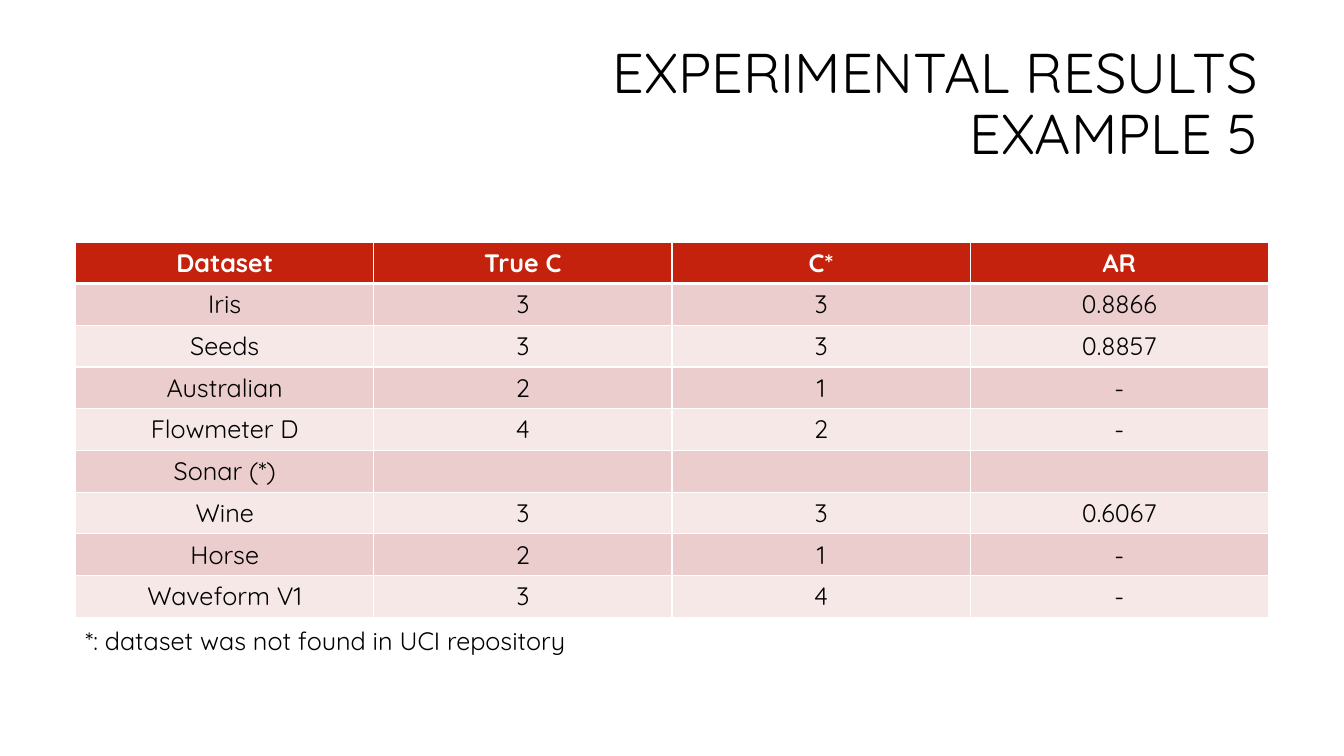
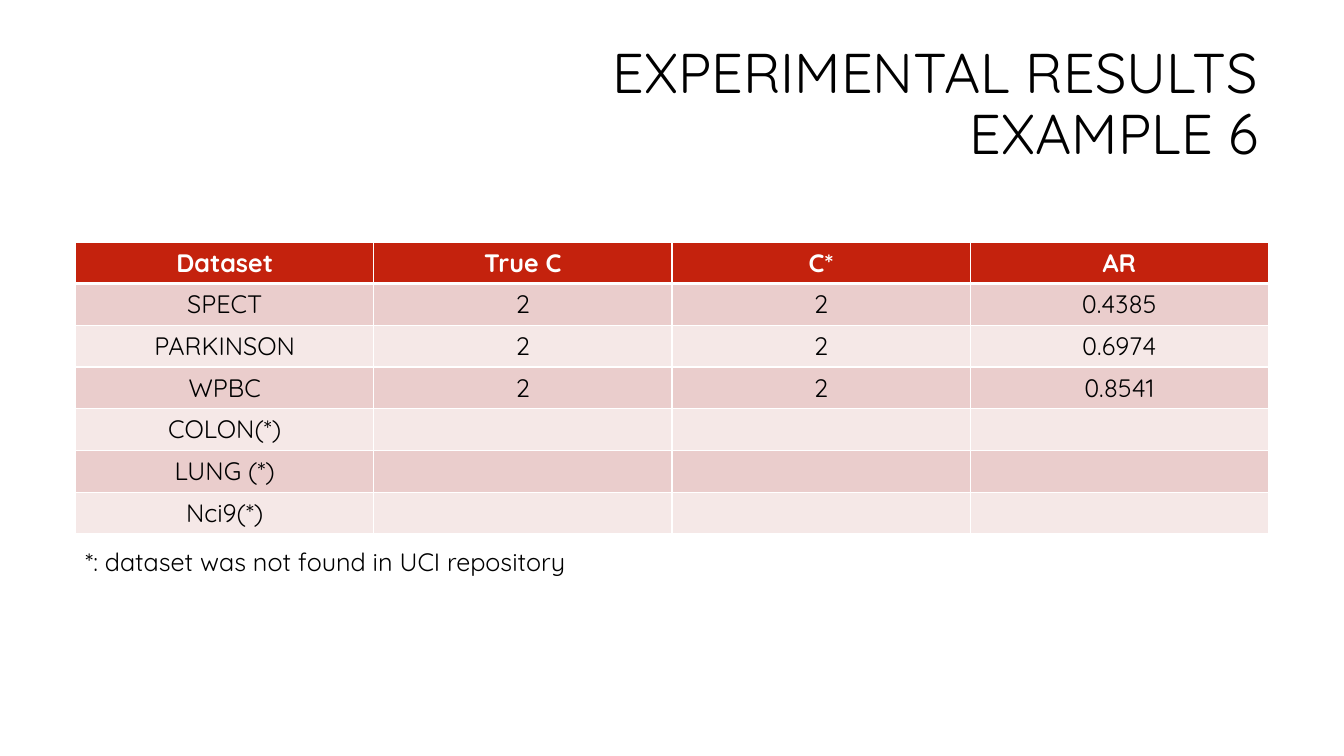
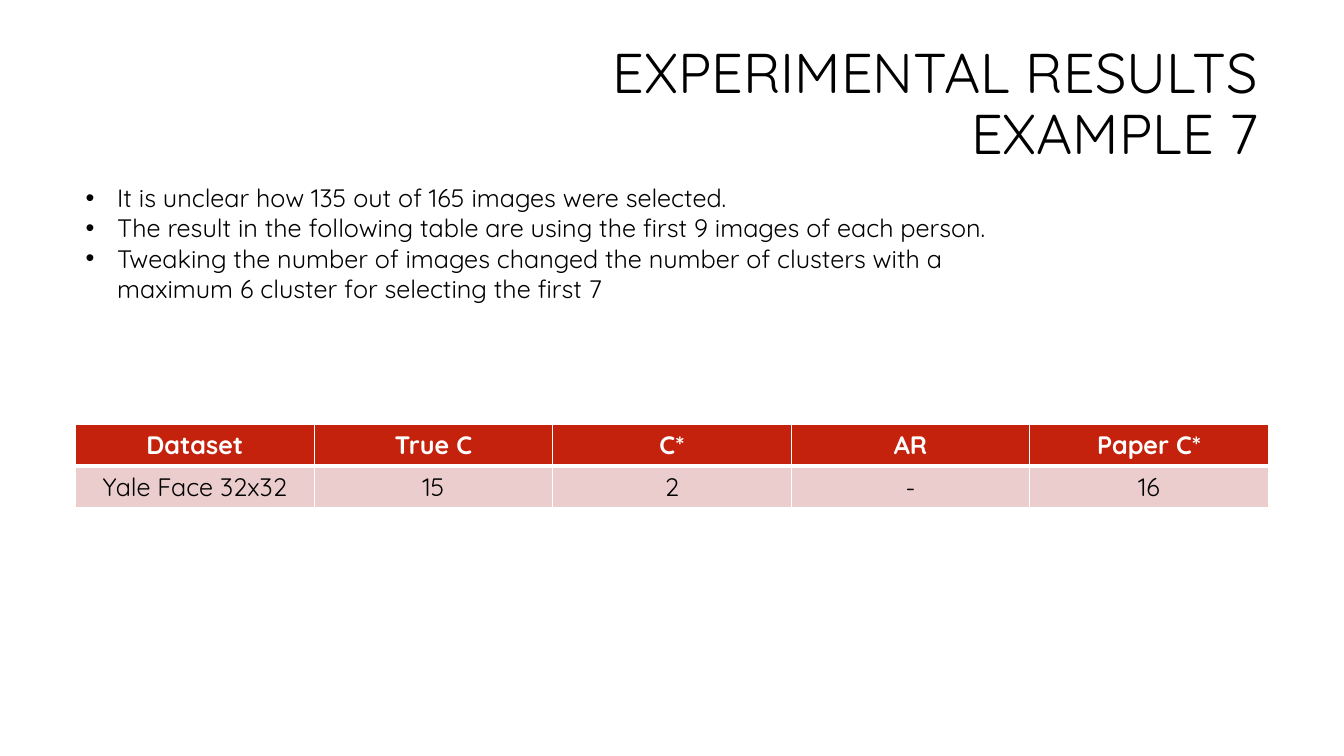
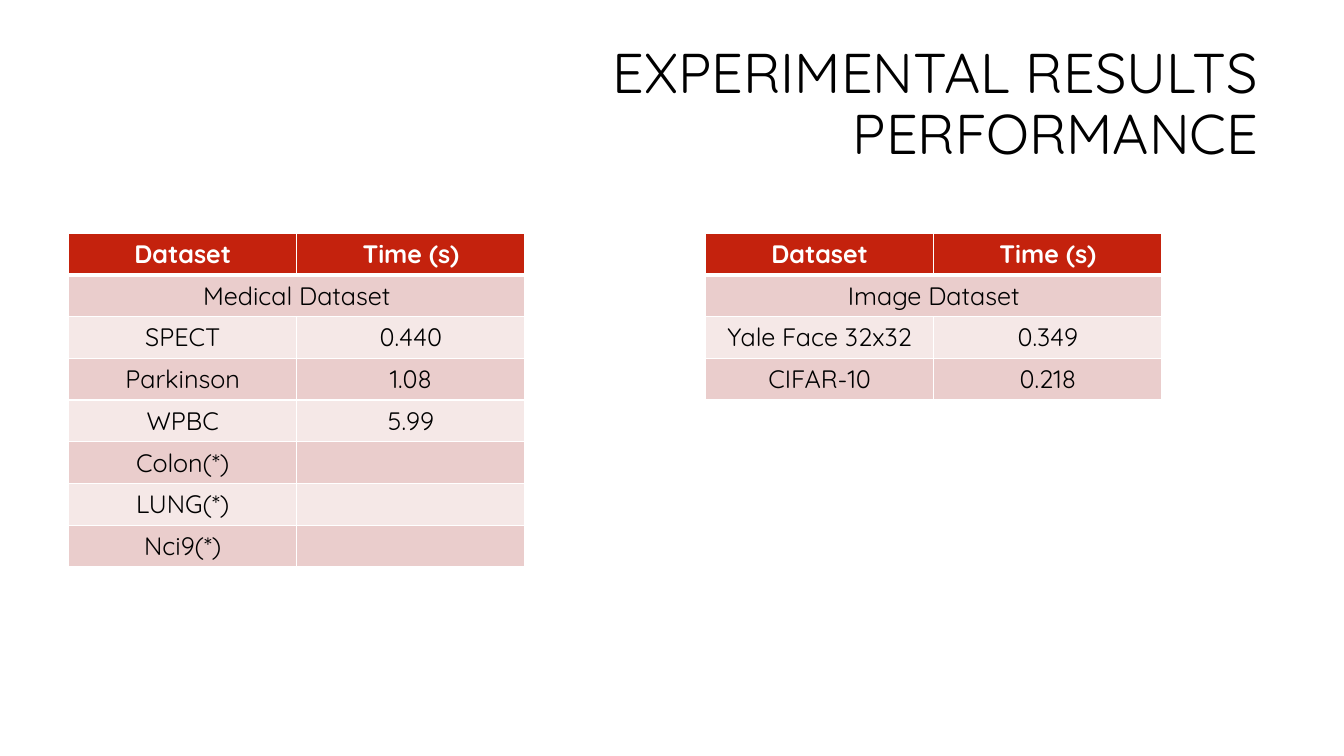
"""Builds four slides of clustering results with tables and notes."""
from copy import deepcopy
from dataclasses import dataclass

from pptx import Presentation
from pptx.dml.color import RGBColor as RGB
from pptx.enum.text import MSO_ANCHOR as Anchor, MSO_AUTO_SIZE as Fit, PP_ALIGN as Align
from pptx.oxml import parse_xml
from pptx.oxml.ns import nsdecls, qn
from pptx.util import Pt


@dataclass(frozen=True)
class Theme:
    font: str = "Quicksand"
    head: float = 40
    body: float = 18
    black: str = "000000"
    white: str = "FFFFFF"
    red: str = "C4220D"
    bands: tuple = ("F5E8E7", "EACDCC")
    row: float = 29.2
    thin: float = 1
    thick: float = 3


T = Theme()


def write(frame, text, size=T.body, color=T.black, bold=False, align=Align.LEFT,
          space=1.0, bullet=False):
    frame.text = text
    frame.word_wrap = True
    for par in frame.paragraphs:
        par.alignment, par.line_spacing = align, space
        par.space_before = Pt(0)
        for run in par.runs:
            font = run.font
            font.name, font.size, font.bold = T.font, Pt(size), bold
            font.color.rgb = RGB.from_string(color)
        for gap in par._p.findall(qn("a:br")):
            gap.insert(0, deepcopy(par.runs[0]._r.rPr))
        if bullet:
            props = par._p.get_or_add_pPr()
            props.set("marL", str(Pt(22.5)))
            props.set("indent", str(Pt(-22.5)))
            props.append(parse_xml(f'<a:buChar {nsdecls("a")} char="•"/>'))


def grid(slide, left, top, width, rows):
    wide = len(rows[0])
    table = slide.shapes.add_table(
        len(rows), wide, Pt(left), Pt(top), Pt(width), Pt(T.row * len(rows))).table
    for col in table.columns:
        col.width = Pt(width / wide)
    for r, row in enumerate(rows):
        table.rows[r].height = Pt(T.row)
        for c in range(wide):
            cell = table.cell(r, c)
            value = row[c] if c < len(row) else ""
            if value is None:
                table.cell(r, c - 1).merge(cell)
            elif value:
                write(cell.text_frame, value, color=T.black if r else T.white,
                      bold=r == 0, align=Align.CENTER)
            cell.fill.solid()
            cell.fill.fore_color.rgb = RGB.from_string(T.bands[r % 2] if r else T.red)
            heavy = {(0, "B"), (1, "T")}
            for i, side in enumerate("LRTB"):
                line = Pt(T.thick if (r, side) in heavy else T.thin)
                cell._tc.tcPr.insert(i, parse_xml(
                    f'<a:ln{side} {nsdecls("a")} w="{line}"><a:solidFill>'
                    f'<a:srgbClr val="{T.white}"/></a:solidFill></a:ln{side}>'))


score = ("Dataset", "True C", "C*", "AR")
timing = ("Dataset", "Time (s)")
missing = "*: dataset was not found in UCI repository"
points = "\n".join((
    "It is unclear how 135 out of 165 images were selected.",
    "The result in the following table are using the first 9 images of each person.",
    "Tweaking the number of images changed the number of clusters with a "
    "maximum 6 cluster for selecting the first 7"))

pages = [
    dict(name="EXAMPLE 5", note=442.8, grids=[(54, 172.8, 852, [
        score,
        ("Iris", "3", "3", "0.8866"),
        ("Seeds", "3", "3", "0.8857"),
        ("Australian", "2", "1", "-"),
        ("Flowmeter D", "4", "2", "-"),
        ("Sonar (*)",),
        ("Wine", "3", "3", "0.6067"),
        ("Horse", "2", "1", "-"),
        ("Waveform V1", "3", "4", "-")])]),
    dict(name="EXAMPLE 6", note=386.6, grids=[(54, 172.8, 852, [
        score,
        ("SPECT", "2", "2", "0.4385"),
        ("PARKINSON", "2", "2", "0.6974"),
        ("WPBC", "2", "2", "0.8541"),
        ("COLON(*)",),
        ("LUNG (*)",),
        ("Nci9(*)",)])]),
    dict(name="EXAMPLE 7", list=points, grids=[(54, 303, 852, [
        (*score, "Paper C*"),
        ("Yale Face 32x32", "15", "2", "-", "16")])]),
    dict(name="PERFORMANCE", grids=[
        (49, 166.6, 326, [
            timing,
            ("Medical Dataset", None),
            ("SPECT", "0.440"),
            ("Parkinson", "1.08"),
            ("WPBC", "5.99"),
            ("Colon(*)",),
            ("LUNG(*)",),
            ("Nci9(*)",)]),
        (504, 166.6, 326, [
            timing,
            ("Image Dataset", None),
            ("Yale Face 32x32", "0.349"),
            ("CIFAR-10", "0.218")])]),
]

deck = Presentation()
deck.slide_width, deck.slide_height = Pt(960), Pt(540)

for page in pages:
    slide = deck.slides.add_slide(deck.slide_layouts[1 if "list" in page else 5])
    title = slide.shapes.title
    title.left, title.top, title.width, title.height = Pt(228), Pt(25), Pt(678), Pt(101.5)
    write(title.text_frame, "EXPERIMENTAL RESULTS\v" + page["name"], size=T.head,
          align=Align.RIGHT, space=0.9)
    title.text_frame.vertical_anchor = Anchor.MIDDLE
    title.text_frame.auto_size = Fit.NONE
    for place in page["grids"]:
        grid(slide, *place)
    if "list" in page:
        body = slide.placeholders[1]
        body.left, body.top, body.width, body.height = Pt(54), Pt(126.7), Pt(668), Pt(116.6)
        write(body.text_frame, page["list"], bullet=True)
        body.text_frame.auto_size = Fit.NONE
    if "note" in page:
        note = slide.shapes.add_textbox(Pt(54), Pt(page["note"]), Pt(463), Pt(29))
        write(note.text_frame, missing)

deck.save("out.pptx")
